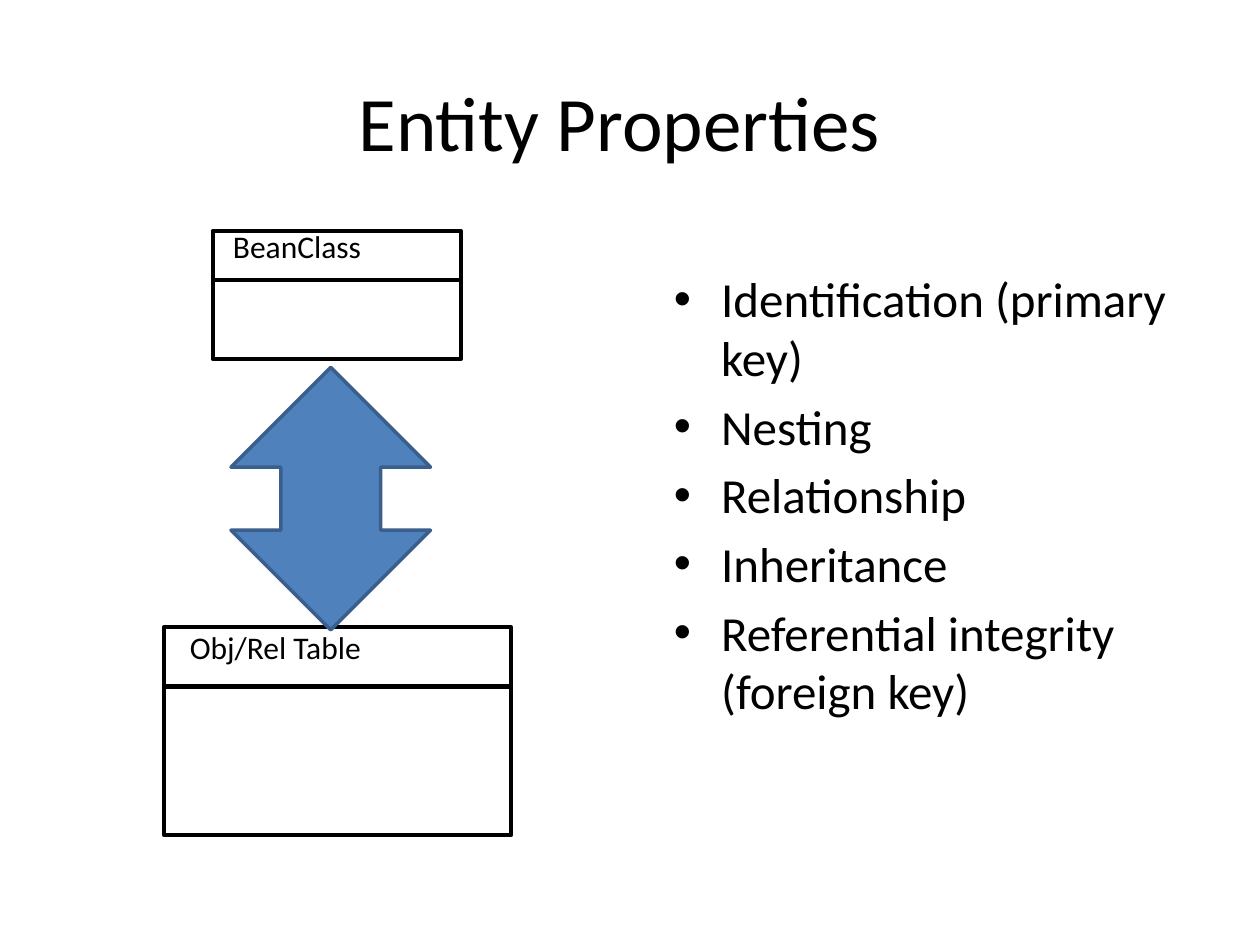
import pptx
import pptx.dml.color
import pptx.enum.shapes
import pptx.enum.text
import pptx.oxml.ns
import pptx.util
import lxml.etree

COLUMNS, ROWS = 120, 90
SLIDE_WIDTH = pptx.util.Inches(10)
SLIDE_HEIGHT = pptx.util.Inches(7.5)
BLACK, BLUE, DARK_BLUE = "000000", "4F81BD", "3A5F8C"
SHAPE = pptx.enum.shapes.MSO_SHAPE
ALIGN = pptx.enum.text.PP_ALIGN
ANCHOR = pptx.enum.text.MSO_ANCHOR
PROPERTIES = [
    "Identification (primary key)",
    "Nesting",
    "Relationship",
    "Inheritance",
    "Referential integrity (foreign key)",
]


def color(code):
    return pptx.dml.color.RGBColor.from_string(code)


def across(columns):
    return round(SLIDE_WIDTH * columns / COLUMNS)


def down(rows):
    return round(SLIDE_HEIGHT * rows / ROWS)


def place(left, top, width, height):
    return across(left), down(top), across(width), down(height)


def set_line(part, code, width):
    part.line.color.rgb = color(code)
    part.line.width = pptx.util.Pt(width)


def add_bullet(paragraph, indent):
    properties = paragraph._p.get_or_add_pPr()
    properties.set("marL", str(indent))
    properties.set("indent", str(-indent))
    for tag, key, value in (("a:buFont", "typeface", "Arial"), ("a:buChar", "char", "•")):
        mark = lxml.etree.SubElement(properties, pptx.oxml.ns.qn(tag))
        mark.set(key, value)


def add_text(slide, lines, area, size, align=ALIGN.LEFT, anchor=ANCHOR.TOP,
             bulleted=False):
    frame = slide.shapes.add_textbox(*place(*area)).text_frame
    frame.word_wrap = True
    frame.vertical_anchor = anchor
    frame.text = "\n".join(lines)
    for paragraph in frame.paragraphs:
        paragraph.alignment = align
        paragraph.font.size = pptx.util.Pt(size)
        paragraph.font.name = "Calibri"
        paragraph.font.color.rgb = color(BLACK)
        if bulleted:
            paragraph.space_before = pptx.util.Pt(size * 0.2)
            add_bullet(paragraph, across(4.5))


def add_figure(slide, preset, area, line, width, fill=None):
    figure = slide.shapes.add_shape(preset, *place(*area))
    figure.shadow.inherit = False
    if fill:
        figure.fill.solid()
        figure.fill.fore_color.rgb = color(fill)
    else:
        figure.fill.background()
    set_line(figure, line, width)


def add_divider(slide, left, right, row, width):
    divider = slide.shapes.add_connector(
        pptx.enum.shapes.MSO_CONNECTOR.STRAIGHT,
        across(left), down(row), across(right), down(row))
    set_line(divider, BLACK, width)
    lxml.etree.SubElement(divider._element.spPr, pptx.oxml.ns.qn("a:effectLst"))


def add_entity(slide, name, area, header, divider_width, label_area):
    left, top, width, height = area
    add_figure(slide, SHAPE.RECTANGLE, area, BLACK, 2.25)
    add_divider(slide, left, left + width, top + header, divider_width)
    add_text(slide, [name], label_area, 18)


def main():
    deck = pptx.Presentation()
    deck.slide_width, deck.slide_height = SLIDE_WIDTH, SLIDE_HEIGHT
    slide = deck.slides.add_slide(deck.slide_layouts[6])
    add_text(slide, ["Entity Properties"], (8, 4, 102, 15), 44,
             align=ALIGN.CENTER, anchor=ANCHOR.MIDDLE)
    add_text(slide, PROPERTIES, (63, 25, 50, 54), 28, bulleted=True)
    add_entity(slide, "BeanClass", (20.25, 22, 23.65, 12.2), 4.65, 2.25,
               (21, 21, 22.9, 6))
    add_entity(slide, "Obj/Rel Table", (15.6, 59.75, 33.1, 19.8), 5.65, 3,
               (16.9, 59.2, 30.4, 6))
    add_figure(slide, SHAPE.UP_DOWN_ARROW, (22, 35, 19, 25), DARK_BLUE, 2, fill=BLUE)
    deck.save("out.pptx")


main()
